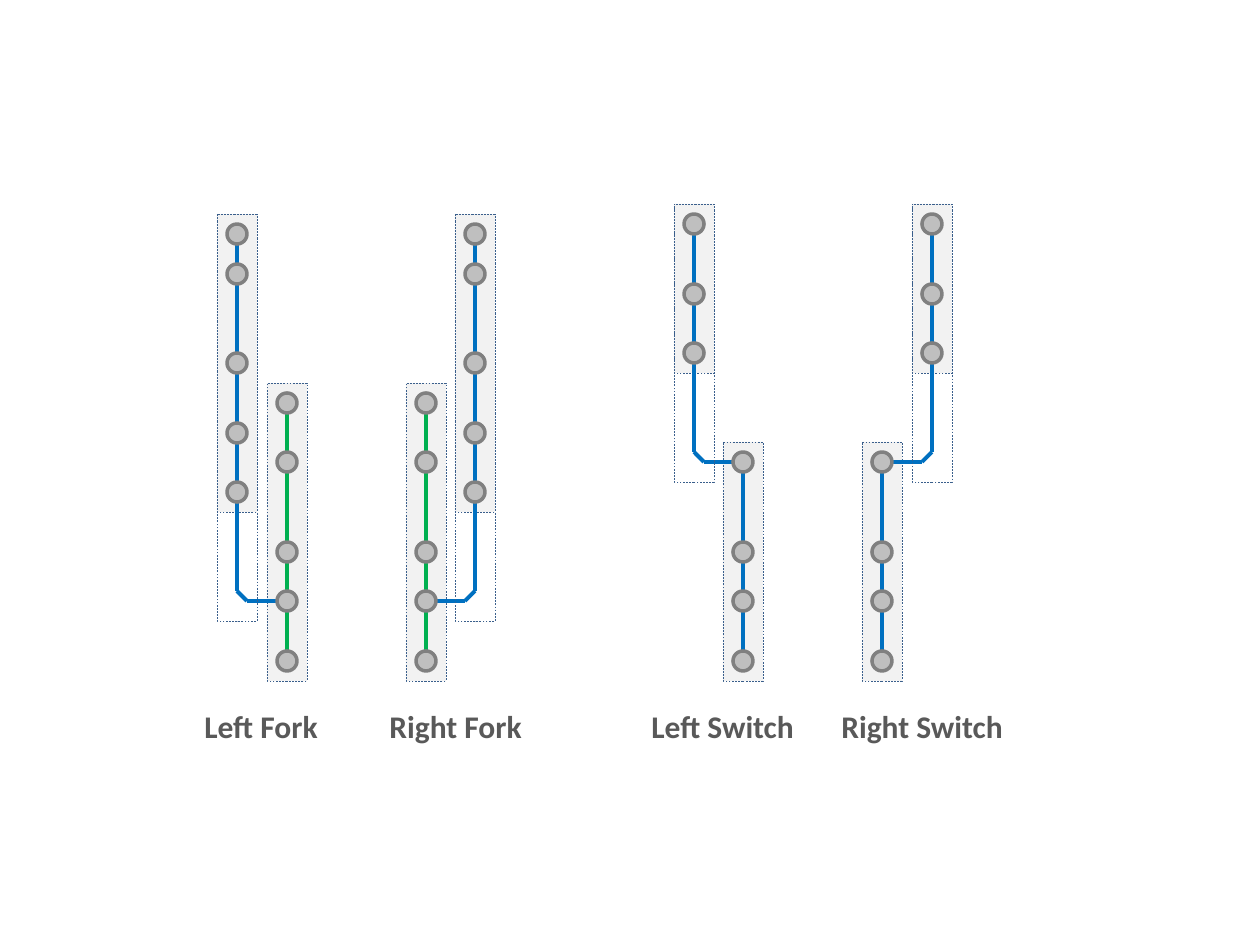
import dataclasses

import pptx
import pptx.dml.color
import pptx.enum.dml
import pptx.enum.shapes
import pptx.enum.text
import pptx.oxml.ns
import pptx.util
from lxml import etree

EMU_PER_PX = 914400 / 126
SLIDE = (1260, 945)


@dataclasses.dataclass(frozen=True)
class Theme:
    font: str = "Calibri"
    label_size: float = 18
    label: str = "595959"
    band: str = "F2F2F2"
    band_line: str = "3A5F8C"
    band_line_width: float = 0.25
    station: str = "BFBFBF"
    station_line: str = "808080"
    station_line_width: float = 2
    blue: str = "0070C0"
    green: str = "00B050"
    track_width: float = 2.25


THEME = Theme()

# Station centres from top to bottom; the branch meets the trunk at "junction".
FORK = dict(branch=(234, 274, 363, 433, 492), trunk=(403, 462, 552, 601, 661),
            junction=601, trunk_color=THEME.green)
SWITCH = dict(branch=(224, 294, 353), trunk=(462, 552, 601, 661),
              junction=462, trunk_color=THEME.blue)

# layout, branch x, trunk x, label, label left, label width
DIAGRAMS = [
    (FORK, 237, 287, "Left Fork", 192, 141),
    (FORK, 475, 426, "Right Fork", 377, 159),
    (SWITCH, 694, 743, "Left Switch", 639, 170),
    (SWITCH, 932, 882, "Right Switch", 829, 188),
]
LABEL_TOP, LABEL_HEIGHT = 701, 50
RADIUS = 10
BEND = 10
MARGIN = 20  # from a station centre to the edge of its band


def px(value):
    return pptx.util.Emu(round(value * EMU_PER_PX))


def rgb(value):
    return pptx.dml.color.RGBColor.from_string(value)


def add_outlined(page, kind, left, top, width, height, fill, line, line_width):
    shape = page.shapes.add_shape(kind, px(left), px(top), px(width), px(height))
    shape.shadow.inherit = False
    if fill:
        shape.fill.solid()
        shape.fill.fore_color.rgb = rgb(fill)
    else:
        shape.fill.background()
    shape.line.color.rgb = rgb(line)
    shape.line.width = pptx.util.Pt(line_width)
    return shape


def add_band(page, x, first, last, fill=None):
    """Dashed rectangle around the stations from first to last."""
    band = add_outlined(page, pptx.enum.shapes.MSO_SHAPE.RECTANGLE,
                        x - MARGIN, first - MARGIN, 2 * MARGIN, last - first + 2 * MARGIN,
                        fill, THEME.band_line, THEME.band_line_width)
    band.line.dash_style = pptx.enum.dml.MSO_LINE.DASH


def add_station(page, x, y):
    add_outlined(page, pptx.enum.shapes.MSO_SHAPE.OVAL,
                 x - RADIUS, y - RADIUS, 2 * RADIUS, 2 * RADIUS,
                 THEME.station, THEME.station_line, THEME.station_line_width)


def add_track(page, start, end, color):
    track = page.shapes.add_connector(pptx.enum.shapes.MSO_CONNECTOR.STRAIGHT,
                                      *map(px, (*start, *end)))
    track.line.color.rgb = rgb(color)
    track.line.width = pptx.util.Pt(THEME.track_width)
    etree.SubElement(track._element.spPr, pptx.oxml.ns.qn("a:effectLst"))


def add_column(page, x, stations, color):
    """Filled band with a track between each pair of neighbouring stations."""
    add_band(page, x, stations[0], stations[-1], THEME.band)
    for upper, lower in zip(stations, stations[1:]):
        add_track(page, (x, upper + RADIUS), (x, lower - RADIUS), color)


def add_bend(page, branch_x, trunk_x, last, junction):
    """Track from the last branch station round a cut corner to the trunk."""
    side = 1 if trunk_x > branch_x else -1
    points = [(branch_x, last + RADIUS), (branch_x, junction - BEND),
              (branch_x + side * BEND, junction), (trunk_x - side * RADIUS, junction)]
    for start, end in zip(points, points[1:]):
        add_track(page, start, end, THEME.blue)


def add_label(page, text, left, width):
    box = page.shapes.add_textbox(px(left), px(LABEL_TOP), px(width), px(LABEL_HEIGHT))
    frame = box.text_frame
    frame.word_wrap = False
    frame.auto_size = pptx.enum.text.MSO_AUTO_SIZE.SHAPE_TO_FIT_TEXT
    frame.text = text
    font = frame.paragraphs[0].runs[0].font
    font.name = THEME.font
    font.size = pptx.util.Pt(THEME.label_size)
    font.bold = True
    font.color.rgb = rgb(THEME.label)


def add_diagram(page, layout, branch_x, trunk_x, label, label_left, label_width):
    branch, trunk, junction = layout["branch"], layout["trunk"], layout["junction"]
    add_column(page, branch_x, branch, THEME.blue)
    add_column(page, trunk_x, trunk, layout["trunk_color"])
    add_bend(page, branch_x, trunk_x, branch[-1], junction)
    add_band(page, branch_x, branch[0], junction)
    for x, stations in ((branch_x, branch), (trunk_x, trunk)):
        for y in stations:
            add_station(page, x, y)
    add_label(page, label, label_left, label_width)


def main():
    deck = pptx.Presentation()
    deck.slide_width, deck.slide_height = map(px, SLIDE)
    page = deck.slides.add_slide(deck.slide_layouts[6])
    for diagram in DIAGRAMS:
        add_diagram(page, *diagram)
    deck.save("out.pptx")


if __name__ == "__main__":
    main()
